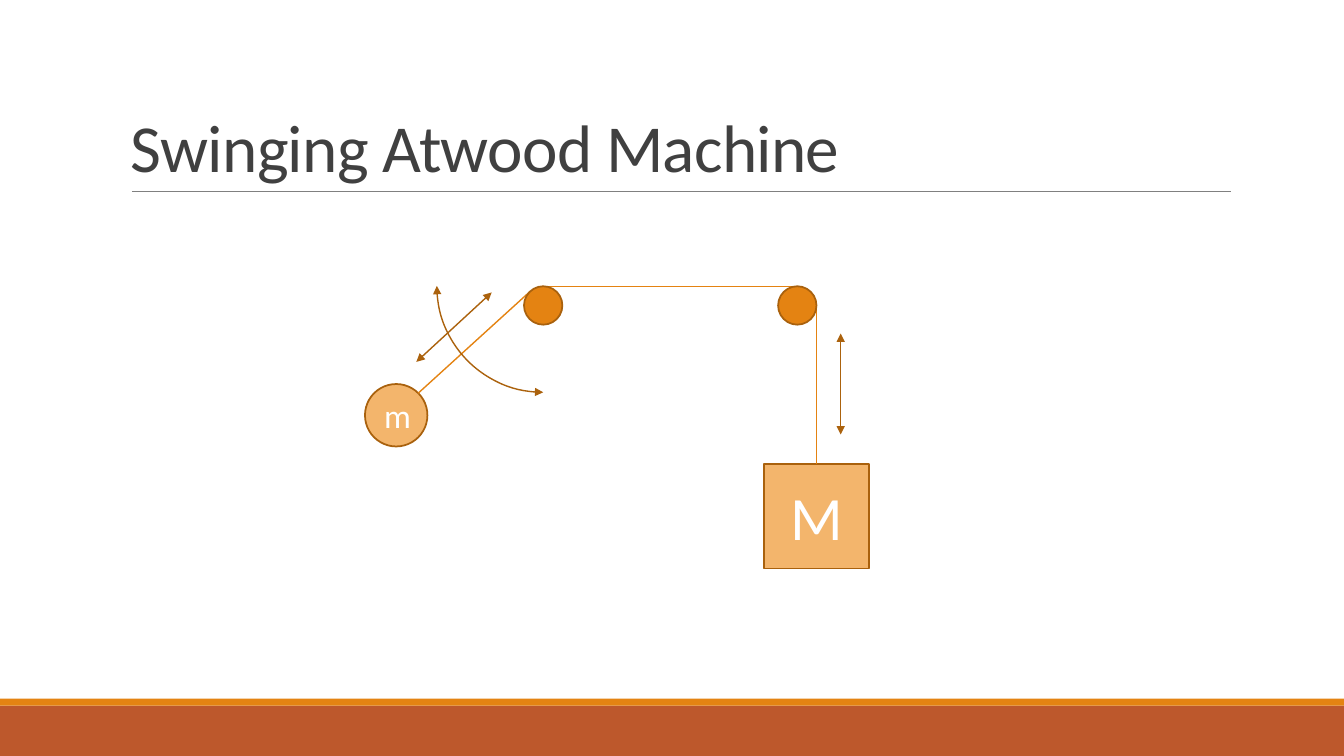
from math import sqrt

from lxml import etree
from pptx import Presentation
from pptx.dml.color import RGBColor
from pptx.enum.shapes import MSO_CONNECTOR, MSO_SHAPE
from pptx.enum.text import MSO_ANCHOR, PP_ALIGN
from pptx.oxml.ns import qn
from pptx.util import Pt

RECT, OVAL, ARC = MSO_SHAPE.RECTANGLE, MSO_SHAPE.OVAL, MSO_SHAPE.ARC
STRAIGHT = MSO_CONNECTOR.STRAIGHT
MIDDLE, BOTTOM = MSO_ANCHOR.MIDDLE, MSO_ANCHOR.BOTTOM
LEFT, CENTER = PP_ALIGN.LEFT, PP_ALIGN.CENTER
TOP_SITE = 0

# Content: places in points
WIDE, HIGH = 960, 540
TITLE = ("Swinging Atwood Machine", (86.4, 22.3, 792, 114.5))
RULE = ((94.3, 136.6), (879.1, 136.6))
BARS = [("rust", (0, 504, WIDE, 36)), ("orange", (0, 499, WIDE, 5))]
PULLEYS = [(388, 218.2), (569.5, 218.2)]
WHEEL = 13.7
BALL = ("m", (283, 296.6), 22.3)
BLOCK = ("M", 331.2, 75)
ARROWS = [((351.2, 208.9), (297.4, 258.5)), ((600.5, 238.3), (600.5, 310.3))]
SWING = ((388, 204.2), 76)

THEME = {
    "font": "Calibri",
    "rust": "BD582C", "orange": "E48312", "peach": "F3B56C",
    "edge": "A9610D", "arrow": "AB620D", "rule": "808080",
    "ink": "404040", "white": "FFFFFF",
    "title": 48, "block": 44, "ball": 24,
    "border": 1.25, "thin": 1, "hair": 0.5,
}


def color(name):
    return RGBColor.from_string(THEME[name])


def square(mid, half):
    """Give the box of a circle or square around its centre."""
    return mid[0] - half, mid[1] - half, 2 * half, 2 * half


def stroke(line, name, width):
    line.color.rgb = color(name)
    line.width = Pt(THEME[width])


def add_heads(shape):
    """Put a triangle on both ends of an outline."""
    line = shape.line._get_or_add_ln()
    for tag in ("a:headEnd", "a:tailEnd"):
        etree.SubElement(line, qn(tag)).set("type", "triangle")


def add_text(shape, text, size, ink, anchor, align):
    frame = shape.text_frame
    frame.word_wrap = True
    frame.vertical_anchor = anchor
    para = frame.paragraphs[0]
    para.alignment = align
    run = para.add_run()
    run.text = text
    run.font.name = THEME["font"]
    run.font.size = Pt(THEME[size])
    run.font.color.rgb = color(ink)
    return para, run


def add_form(slide, kind, box, fill=None, edge=None, width="border"):
    form = slide.shapes.add_shape(kind, *map(Pt, box))
    form.shadow.inherit = False
    if fill:
        form.fill.solid()
        form.fill.fore_color.rgb = color(fill)
    else:
        form.fill.background()
    if edge:
        stroke(form.line, edge, width)
    else:
        form.line.fill.background()
    return form


def add_line(slide, start, end, name, width="thin"):
    line = slide.shapes.add_connector(STRAIGHT, *map(Pt, (*start, *end)))
    etree.SubElement(line._element.spPr, qn("a:effectLst"))
    stroke(line.line, name, width)
    return line


def add_frame(slide):
    """Draw the bars, the rule and the title."""
    for fill, box in BARS:
        add_form(slide, RECT, box, fill)
    add_line(slide, *RULE, "rule", "hair")
    text, box = TITLE
    title = slide.shapes.add_textbox(*map(Pt, box))
    para, run = add_text(title, text, "title", "ink", BOTTOM, LEFT)
    para.line_spacing = 0.85
    run.font._element.set("spc", "-50")


def add_machine(slide):
    """Draw the weights, the rope and the pulleys."""
    (left_x, left_y), (right_x, right_y) = PULLEYS
    drop = right_x + WHEEL
    name, top, side = BLOCK
    block = add_form(slide, RECT, (drop - side / 2, top, side, side),
                     "peach", "edge")
    add_text(block, name, "block", "white", MIDDLE, CENTER)

    name, (ball_x, ball_y), size = BALL
    ball = add_form(slide, OVAL, square((ball_x, ball_y), size),
                    "peach", "edge")
    add_text(ball, name, "ball", "white", MIDDLE, CENTER)

    near, far = WHEEL / sqrt(2), size / sqrt(2)
    add_line(slide, (left_x, left_y - WHEEL), (right_x, right_y - WHEEL),
             "orange")
    add_line(slide, (left_x - near, left_y - near),
             (ball_x + far, ball_y - far), "orange")
    rope = add_line(slide, (drop, right_y), (drop, top), "orange")
    rope.end_connect(block, TOP_SITE)
    for mid in PULLEYS:
        add_form(slide, OVAL, square(mid, WHEEL), "orange", "edge")


def add_motion(slide):
    """Draw the arrows that show how the weights move."""
    for start, end in ARROWS:
        add_heads(add_line(slide, start, end, "arrow"))
    swing = add_form(slide, ARC, square(*SWING), None, "arrow", "thin")
    swing.rotation = 180
    add_heads(swing)


def main():
    deck = Presentation()
    deck.slide_width, deck.slide_height = Pt(WIDE), Pt(HIGH)
    slide = deck.slides.add_slide(deck.slide_layouts[6])
    add_frame(slide)
    add_machine(slide)
    add_motion(slide)
    deck.save("out.pptx")


if __name__ == "__main__":
    main()
